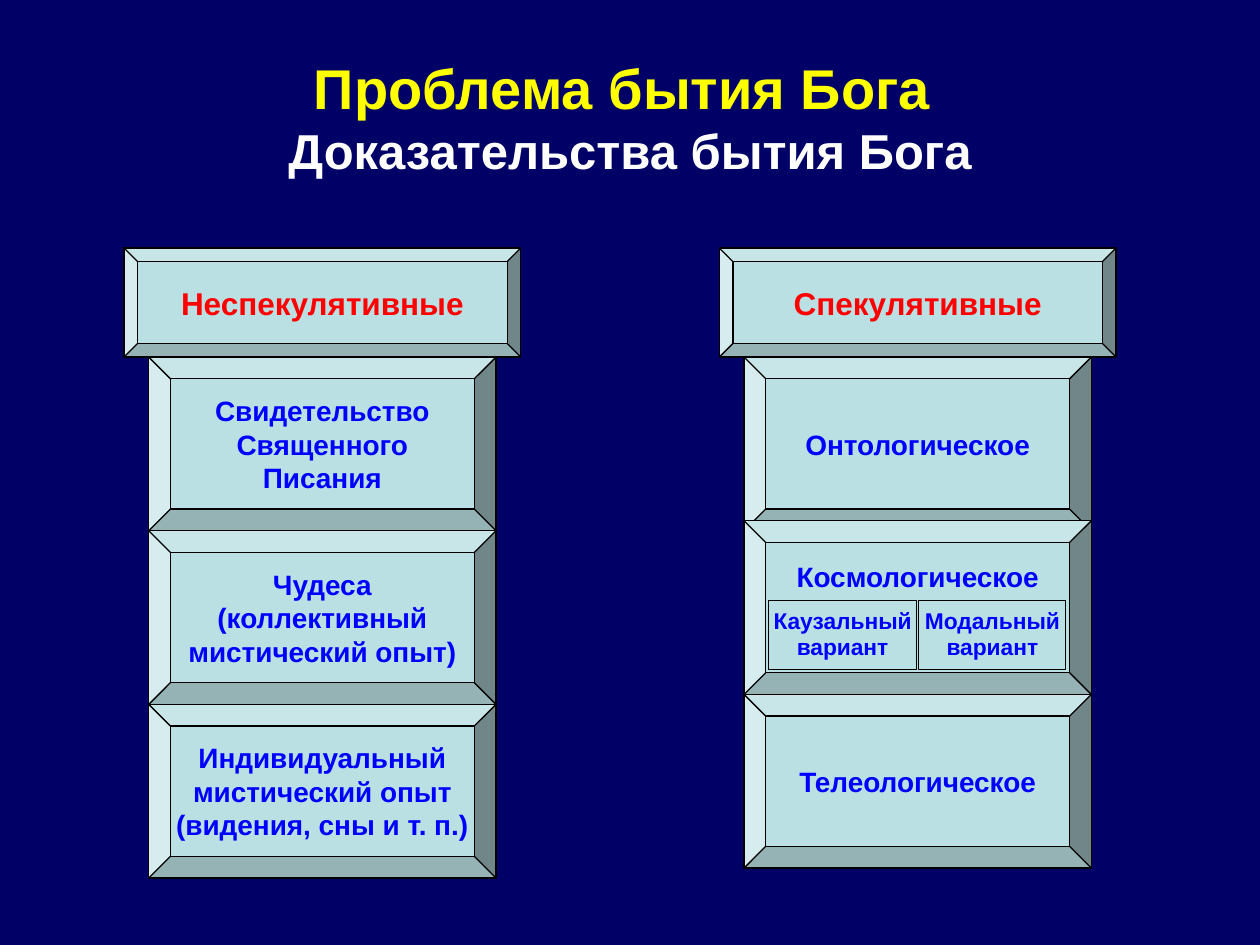
import pptx
import pptx.util
import pptx.dml.color
import pptx.enum.shapes
import pptx.enum.text

Cm, Pt = pptx.util.Cm, pptx.util.Pt
SHAPE = pptx.enum.shapes.MSO_SHAPE
ANCHOR = pptx.enum.text.MSO_ANCHOR


def color(hex_string):
    return pptx.dml.color.RGBColor.from_string(hex_string)


def add_block(kind, left, top, width, height, lines, size, ink, border=0.75):
    block = slide.shapes.add_shape(kind, Cm(left), Cm(top), Cm(width), Cm(height))
    block.shadow.inherit = False
    block.fill.solid()
    block.fill.fore_color.rgb = color("BBE0E3")
    block.line.color.rgb = color("000000")
    block.line.width = Pt(border)
    frame = block.text_frame
    frame.word_wrap = False
    frame.vertical_anchor = ANCHOR.MIDDLE
    paragraph = frame.paragraphs[0]
    write_lines(paragraph, [(line, size, ink) for line in lines])
    return frame


def write_lines(paragraph, lines):
    paragraph.alignment = pptx.enum.text.PP_ALIGN.CENTER
    for number, (text, size, ink) in enumerate(lines):
        if number:
            paragraph.add_line_break()
        run = paragraph.add_run()
        run.text = text
        run.font.name = "Arial"
        run.font.size = Pt(size)
        run.font.bold = True
        run.font.color.rgb = color(ink)


presentation = pptx.Presentation()
presentation.slide_width = Cm(25.4)
presentation.slide_height = Cm(19.05)
slide = presentation.slides.add_slide(presentation.slide_layouts[6])
slide.background.fill.solid()
slide.background.fill.fore_color.rgb = color("000066")

# Heading
heading = slide.shapes.add_textbox(Cm(1.27), Cm(0.76), Cm(22.86), Cm(3.18)).text_frame
heading.word_wrap = True
heading.vertical_anchor = ANCHOR.MIDDLE
write_lines(heading.paragraphs[0], [
    ("Проблема бытия Бога ", 32, "FFFF00"),
    ("Доказательства бытия Бога", 28, "FFFFFF"),
])

# Two columns of proofs: a wide cap over three narrower blocks
block_width, block_height = 7, 3.5
columns = [
    (2.5, "Неспекулятивные", [
        (7.2, ["Свидетельство", "Священного", "Писания"]),
        (10.7, ["Чудеса", "(коллективный", "мистический опыт)"]),
        (14.2, ["Индивидуальный", "мистический опыт", "(видения, сны и т. п.)"]),
    ]),
    (14.5, "Спекулятивные", [
        (7.2, ["Онтологическое"]),
        (10.5, ["Космологическое"]),
        (14, ["Телеологическое"]),
    ]),
]
for left, cap, proofs in columns:
    add_block(SHAPE.BEVEL, left, 5, 8, 2.2, [cap], 18, "FF0000")
    for top, lines in proofs:
        proof = add_block(SHAPE.BEVEL, left + 0.5, top, block_width, block_height,
                          lines, 16, "0000FF")
        # The cosmological proof leaves room below for its variants
        if lines == ["Космологическое"]:
            proof.vertical_anchor = ANCHOR.TOP
            proof.margin_top = Cm(0.34)

# Variants of the cosmological proof
for column, variant in enumerate(["Каузальный", "Модальный"]):
    label = add_block(SHAPE.RECTANGLE, 15.5 + column * 3.02, 12.1, 2.97, 1.4,
                      [variant, "вариант"], 13, "0000FF", border=0.5)
    label.paragraphs[0].line_spacing = 0.95

presentation.save("out.pptx")
